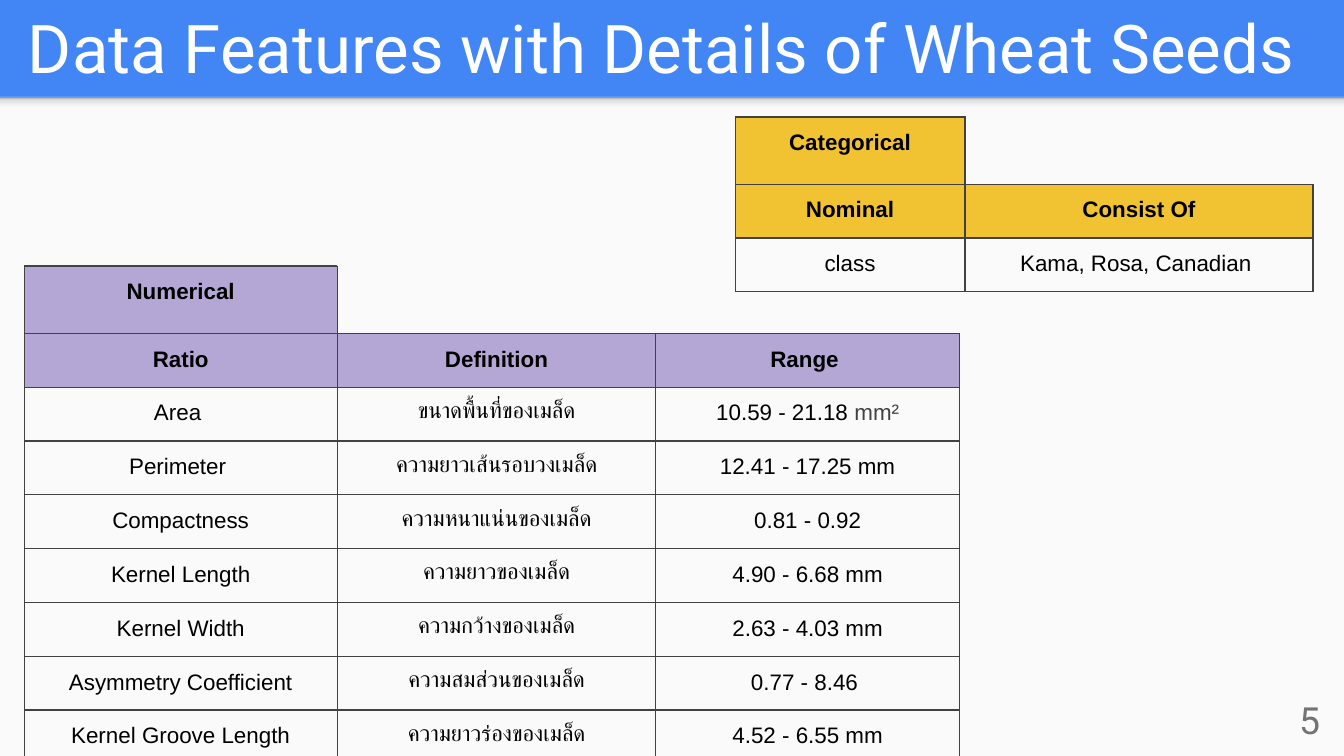
"""Build the wheat seed data features slide."""
from pptx import Presentation
from pptx import oxml, util as u
from pptx.dml.color import RGBColor
from pptx.enum import shapes, text

TITLE = "Data Features with Details of Wheat Seeds"
PAGE_NUMBER = "5"
INK, LINE, PAPER = "000000", "424242", "FAFAFA"
SHADE_STOPS = [(0, "F9F9F9"), (36, "F9F9F9"), (80, "DEDEDE"), (100, "999999")]
TABLES = [
    {
        "at": (0.18, 1.98), "columns": (2.33, 2.37, 2.26), "color": "B4A7D6",
        "rows": [
            ("Numerical", "", ""),
            ("Ratio", "Definition", "Range "),
            ("Area ", "ขนาดพื้นที่ของเมล็ด", [("10.59 - 21.18 ", INK), ("mm²", LINE)]),
            ("Perimeter ", "ความยาวเส้นรอบวงเมล็ด", "12.41 - 17.25 mm"),
            ("Compactness", "ความหนาแน่นของเมล็ด", "0.81 - 0.92"),
            ("Kernel Length", "ความยาวของเมล็ด", "4.90 - 6.68 mm"),
            ("Kernel Width", "ความกว้างของเมล็ด", "2.63 - 4.03 mm"),
            ("Asymmetry Coefficient", "ความสมส่วนของเมล็ด", "0.77 - 8.46 "),
            ("Kernel Groove Length", "ความยาวร่องของเมล็ด", "4.52 - 6.55 mm"),
        ],
    },
    {
        "at": (5.47, 0.87), "columns": (1.71, 2.59), "color": "F1C232",
        "rows": [
            ("Categorical", ""),
            ("Nominal", "Consist Of"),
            ("class", "Kama, Rosa, Canadian "),
        ],
    },
]
ROW = 0.2
FRAME = 3.28
MARGIN = u.Inches(0.1)
NS = 'xmlns:a="http://schemas.openxmlformats.org/drawingml/2006/main"'


def rgb(value):
    return RGBColor.from_string(value)


def add_span(para, words, size, font, color, bold=False):
    span = para.add_run()
    span.text = words
    span.font.size = u.Pt(size)
    span.font.name = font
    span.font.bold = bold
    span.font.color.rgb = rgb(color)


def set_margins(holder):
    holder.margin_left = holder.margin_right = MARGIN
    holder.margin_top = holder.margin_bottom = MARGIN


def add_label(page, at, words, size, color, align):
    box = page.shapes.add_textbox(*map(u.Inches, at))
    frame = box.text_frame
    frame.word_wrap = True
    frame.vertical_anchor = text.MSO_ANCHOR.MIDDLE
    set_margins(frame)
    para = frame.paragraphs[0]
    para.alignment = align
    add_span(para, words, size, "Roboto", color)


def add_band(page, top, height):
    band = page.shapes.add_shape(
        shapes.MSO_SHAPE.RECTANGLE, 0, u.Inches(top), u.Inches(10), u.Inches(height))
    band.shadow.inherit = False
    band.line.fill.background()
    band.fill.solid()
    band.fill.fore_color.rgb = rgb(PAPER)
    return band


def shade(band):
    stops = "".join(
        f'<a:gs pos="{place * 1000}"><a:srgbClr val="{color}"/></a:gs>'
        for place, color in SHADE_STOPS)
    gradient = oxml.parse_xml(
        f'<a:gradFill {NS}><a:gsLst>{stops}</a:gsLst>'
        '<a:lin ang="16200000" scaled="0"/></a:gradFill>')
    properties = band.element.spPr
    solid = properties.find(oxml.ns.qn("a:solidFill"))
    properties.replace(solid, gradient)


def set_borders(cell, colors):
    properties = cell._tc.get_or_add_tcPr()
    for side, color in zip("LRTB", colors):
        properties.append(oxml.parse_xml(
            f'<a:ln{side} {NS} w="{u.Pt(0.75)}"><a:solidFill>'
            f'<a:srgbClr val="{color}"/></a:solidFill></a:ln{side}>'))


def fill_cell(cell, content, color, bold):
    set_margins(cell)
    cell.fill.background()
    if color:
        cell.fill.solid()
        cell.fill.fore_color.rgb = rgb(color)
    para = cell.text_frame.paragraphs[0]
    if not content:
        para._p.append(oxml.parse_xml(
            f'<a:endParaRPr {NS} sz="1800"><a:latin typeface="Arial"/></a:endParaRPr>'))
        return
    para.alignment = text.PP_ALIGN.CENTER
    spans = [(content, INK)] if isinstance(content, str) else content
    for words, ink in spans:
        add_span(para, words, 12, "Arial", ink, bold)


def add_feature_table(page, at, columns, color, rows):
    frame = page.shapes.add_table(
        len(rows), len(columns), *map(u.Inches, (*at, FRAME, FRAME)))
    table = frame.table
    table.first_row = table.horz_banding = False
    for column, width in zip(table.columns, columns):
        column.width = u.Inches(width)
    for r, row in enumerate(rows):
        table.rows[r].height = u.Inches(ROW)
        for c, content in enumerate(row):
            cell = table.cell(r, c)
            left = LINE if c < 2 else PAPER
            set_borders(cell, [LINE] * 4 if content else [left, PAPER, PAPER, LINE])
            heading = r < 2
            fill_cell(cell, content, color if heading and content else None, heading)
    frame.width = frame.height = u.Inches(FRAME)


def main():
    deck = Presentation()
    deck.slide_width = u.Inches(10)
    deck.slide_height = deck.slide_width * 9 // 16
    page = deck.slides.add_slide(deck.slide_layouts[6])
    page.background.fill.solid()
    page.background.fill.fore_color.rgb = rgb("4285F4")
    add_band(page, 0.72, 4.91)
    shade(add_band(page, 0.72, 0.12))
    add_label(page, (0.11, 0.02, 9.65, 0.66), TITLE, 36, "FFFFFF", text.PP_ALIGN.LEFT)
    add_label(page, (9.32, 5.14, 0.6, 0.43), PAGE_NUMBER, 20, "737373", text.PP_ALIGN.RIGHT)
    for table in TABLES:
        add_feature_table(page, **table)
    deck.save("out.pptx")


if __name__ == "__main__":
    main()
